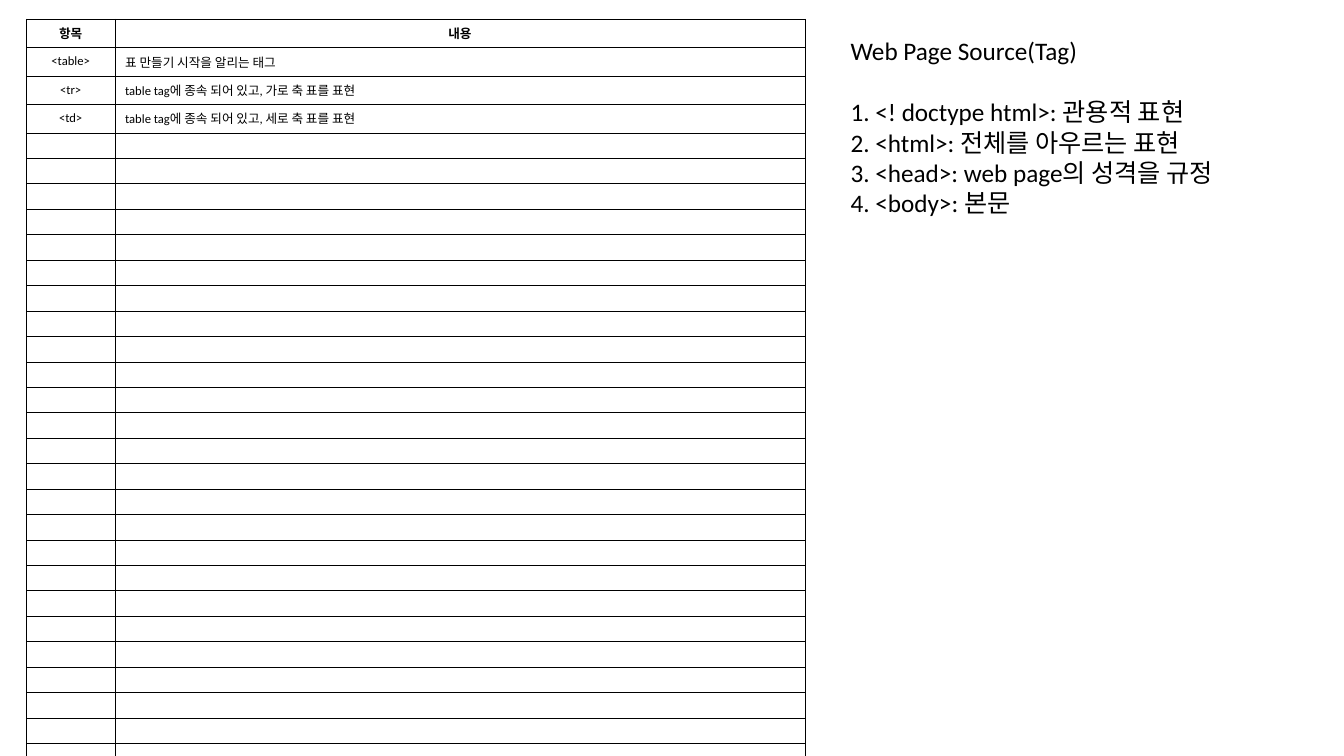
from lxml.etree import SubElement
from pptx import Presentation
from pptx.dml.color import RGBColor
from pptx.enum.text import MSO_ANCHOR, MSO_AUTO_SIZE, PP_ALIGN
from pptx.oxml.ns import qn
from pptx.util import Cm, Pt

BLACK = RGBColor(0x00, 0x00, 0x00)
WHITE = RGBColor(0xFF, 0xFF, 0xFF)
FONT = "Calibri"

ROW_COUNT = 29
TALL_ROW = 15
TAG_ROWS = [
    ("항목", "내용"),
    ("<table>", "표 만들기 시작을 알리는 태그"),
    ("<tr>", "table tag에 종속 되어 있고, 가로 축 표를 표현"),
    ("<td>", "table tag에 종속 되어 있고, 세로 축 표를 표현"),
]
HEADING = "Web Page Source(Tag)"
SOURCE_LINES = [
    "1. <! doctype html>: 관용적 표현",
    "2. <html>: 전체를 아우르는 표현",
    "3. <head>: web page의 성격을 규정",
    "4. <body>: 본문",
]


def format_paragraph(p, size, align=PP_ALIGN.LEFT, bold=False):
    """Set alignment and spacing of a paragraph and the font of its runs."""
    p.alignment = align
    p.space_before = Pt(0)
    for r in p.runs:
        r.font.name = FONT
        r.font.size = Pt(size)
        r.font.bold = bold
        r.font.color.rgb = BLACK


def add_borders(cell, width=Pt(0.25)):
    """Draw a thin line on all four sides of a cell."""
    props = cell._tc.get_or_add_tcPr()
    for i, side in enumerate(("a:lnL", "a:lnR", "a:lnT", "a:lnB")):
        line = props.makeelement(qn(side), {"w": str(int(width))})
        fill = SubElement(line, qn("a:solidFill"))
        SubElement(fill, qn("a:srgbClr"), val=str(BLACK))
        props.insert(i, line)


def fill_cell(cell, text, align, bold, size=9):
    """Write one table cell with white fill and black borders."""
    cell.fill.solid()
    cell.fill.fore_color.rgb = WHITE
    cell.vertical_anchor = MSO_ANCHOR.MIDDLE
    add_borders(cell)
    p = cell.text_frame.paragraphs[0]
    if text:
        p.text = text
    format_paragraph(p, size, align, bold)
    if not text:
        SubElement(p._p, qn("a:endParaRPr"), sz=str(size * 100))


def add_tag_table(s, left, top, width, height):
    """Add the table of tags, with empty rows below the filled ones."""
    frame = s.shapes.add_table(ROW_COUNT, 2, left, top, width, height)
    table = frame.table
    table.horz_banding = False
    tag_width = Cm(2.24)
    table.columns[0].width = tag_width
    table.columns[1].width = width - tag_width
    for i, row in enumerate(table.rows):
        row.height = Cm(0.64 if i == TALL_ROW else 0.43)
        texts = TAG_ROWS[i] if i < len(TAG_ROWS) else ("", "")
        for j, text in enumerate(texts):
            centred = i == 0 or j == 0
            align = PP_ALIGN.CENTER if centred else PP_ALIGN.LEFT
            fill_cell(row.cells[j], text, align, bold=i == 0)
    frame.height = height


def fill_placeholder(sp, lines, left, top, width, height):
    """Move a placeholder and fill it with plain lines from the top."""
    sp.left, sp.top, sp.width, sp.height = left, top, width, height
    tf = sp.text_frame
    tf.text = "\n".join(lines)
    tf.word_wrap = True
    tf.auto_size = MSO_AUTO_SIZE.NONE
    tf.vertical_anchor = MSO_ANCHOR.TOP
    for p in tf.paragraphs:
        format_paragraph(p, 18)
        props = p._p.get_or_add_pPr()
        props.set("marL", "0")
        props.set("indent", "0")
        SubElement(props, qn("a:buNone"))


def add_source_notes(s, left, top, width, height):
    """Place the heading and the list of page source tags in a box."""
    list_offset = Cm(1.55)
    title, body = s.placeholders
    fill_placeholder(title, [HEADING], left, top, width, Cm(1.03))
    fill_placeholder(body, SOURCE_LINES, left, top + list_offset,
                     width, height - list_offset)


def main():
    """Build the slide and save it."""
    prs = Presentation()
    prs.slide_width, prs.slide_height = Cm(33.87), Cm(19.05)
    s = prs.slides.add_slide(prs.slide_layouts[1])
    add_tag_table(s, Cm(0.66), Cm(0.48), Cm(19.62), Cm(18.11))
    add_source_notes(s, Cm(21.18), Cm(0.76), Cm(10.08), Cm(4.83))
    prs.save("out.pptx")


main()
